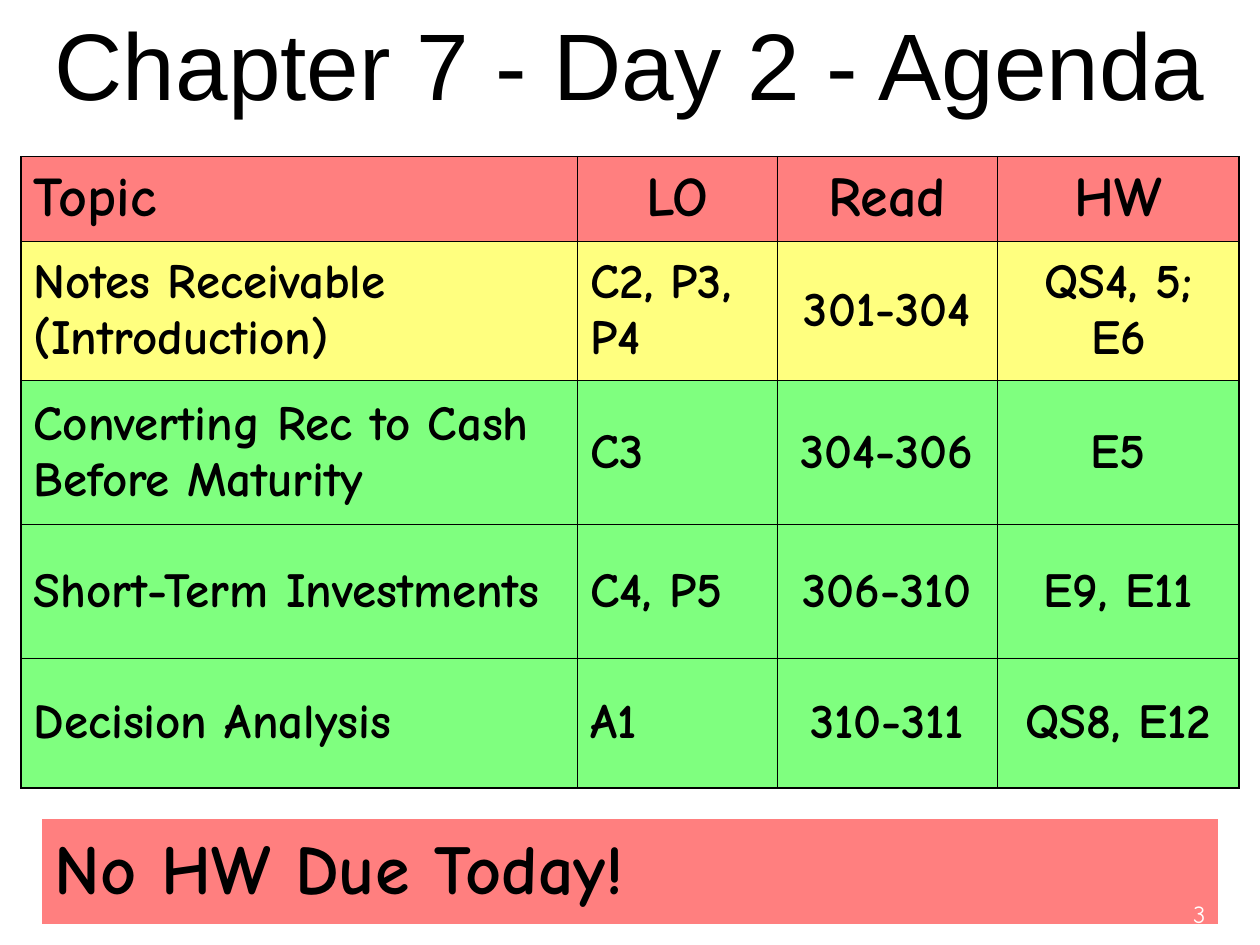
import lxml.etree
import pptx
import pptx.dml.color
import pptx.enum.text
import pptx.oxml.ns
import pptx.util

Pt = pptx.util.Pt
ALIGN = pptx.enum.text.PP_ALIGN
ANCHOR = pptx.enum.text.MSO_ANCHOR
qn = pptx.oxml.ns.qn

RED, YELLOW, GREEN = "FF0000", "FFFF00", "00FF00"
BODY_FONT = "Comic Neue"
OUTER_LINE, INNER_LINE = 1.08, 0.45

COLUMN_WIDTHS = [318.2, 113.8, 126, 138.2]
AGENDA = [
    (48.2, RED, ["Topic", "LO", "Read", "HW"]),
    (79.9, YELLOW, ["Notes Receivable (Introduction)", "C2, P3, P4", "301-304", "QS4, 5; E6"]),
    (82.1, GREEN, ["Converting Rec to Cash Before Maturity", "C3", "304-306", "E5"]),
    (76.3, GREEN, ["Short-Term Investments", "C4, P5", "306-310", "E9, E11"]),
    (74.2, GREEN, ["Decision Analysis", "A1", "310-311", "QS8, E12"]),
]


def rgb(hex_color):
    return pptx.dml.color.RGBColor.from_string(hex_color)


def write(paragraph, text, align, color="000000", **font):
    paragraph.alignment = align
    run = paragraph.add_run()
    run.text = text
    run.font.color.rgb = rgb(color)
    for name, value in font.items():
        setattr(run.font, name, value)


def tint(cell, color):
    """Fill the cell with a half-transparent colour."""
    cell.fill.solid()
    cell.fill.fore_color.rgb = rgb(color)
    color_element = cell._tc.tcPr.find(".//" + qn("a:srgbClr"))
    lxml.etree.SubElement(color_element, qn("a:alpha"), val="50000")


def set_borders(cell, widths):
    """Draw left, right, top and bottom borders; a width of 0 means no line."""
    for index, (side, width) in enumerate(zip("LRTB", widths)):
        line = lxml.etree.Element(qn("a:ln" + side), w=str(Pt(width)))
        if width:
            fill = lxml.etree.SubElement(line, qn("a:solidFill"))
            lxml.etree.SubElement(fill, qn("a:srgbClr"), val="000000")
        else:
            lxml.etree.SubElement(line, qn("a:noFill"))
        cell._tc.tcPr.insert(index, line)


def add_plain_table(slide, left, top, widths, heights):
    box = [Pt(v) for v in (left, top, sum(widths), sum(heights))]
    table = slide.shapes.add_table(len(heights), len(widths), *box).table
    table.first_row = table.horz_banding = False
    for column, width in zip(table.columns, widths):
        column.width = Pt(width)
    for row, height in zip(table.rows, heights):
        row.height = Pt(height)
    return table


def fill_cell(cell, text, align, size, color, borders):
    cell.vertical_anchor = ANCHOR.MIDDLE
    write(cell.text_frame.paragraphs[0], text, align,
          name=BODY_FONT, size=Pt(size), bold=True)
    tint(cell, color)
    set_borders(cell, borders)


def add_agenda(slide, left, top):
    table = add_plain_table(slide, left, top, COLUMN_WIDTHS, [row[0] for row in AGENDA])
    last_row, last_column = len(AGENDA) - 1, len(COLUMN_WIDTHS) - 1
    for r, (_, color, texts) in enumerate(AGENDA):
        for c, text in enumerate(texts):
            centered = c > 1 or (r == 0 and c == 1)
            on_edge = (c == 0, c == last_column, r == 0, r == last_row)
            fill_cell(table.cell(r, c), text, ALIGN.CENTER if centered else ALIGN.LEFT,
                      28 if r else 32, color,
                      [OUTER_LINE if edge else INNER_LINE for edge in on_edge])


def add_homework_notice(slide, left, top, width, height):
    table = add_plain_table(slide, left, top, [width], [height])
    fill_cell(table.cell(0, 0), "No HW Due Today!", ALIGN.LEFT, 40, RED, [0] * 4)


def add_text(slide, box, text, align, **font):
    frame = slide.shapes.add_textbox(*[Pt(v) for v in box]).text_frame
    frame.word_wrap = True
    frame.vertical_anchor = ANCHOR.BOTTOM
    write(frame.paragraphs[0], text, align, **font)


def main():
    presentation = pptx.Presentation()
    presentation.slide_width, presentation.slide_height = Pt(720), Pt(540)
    slide = presentation.slides.add_slide(presentation.slide_layouts[6])

    add_agenda(slide, 12, 89.5)
    add_text(slide, (0, 0, 720, 72), "Chapter 7 - Day 2 - Agenda", ALIGN.CENTER,
             name="Arial", size=Pt(54))
    add_homework_notice(slide, 24, 468, 672, 60)
    add_text(slide, (546, 498, 150, 36), "3", ALIGN.RIGHT, color="FFFFFF",
             name=BODY_FONT, size=Pt(14))

    presentation.save("out.pptx")


if __name__ == "__main__":
    main()
